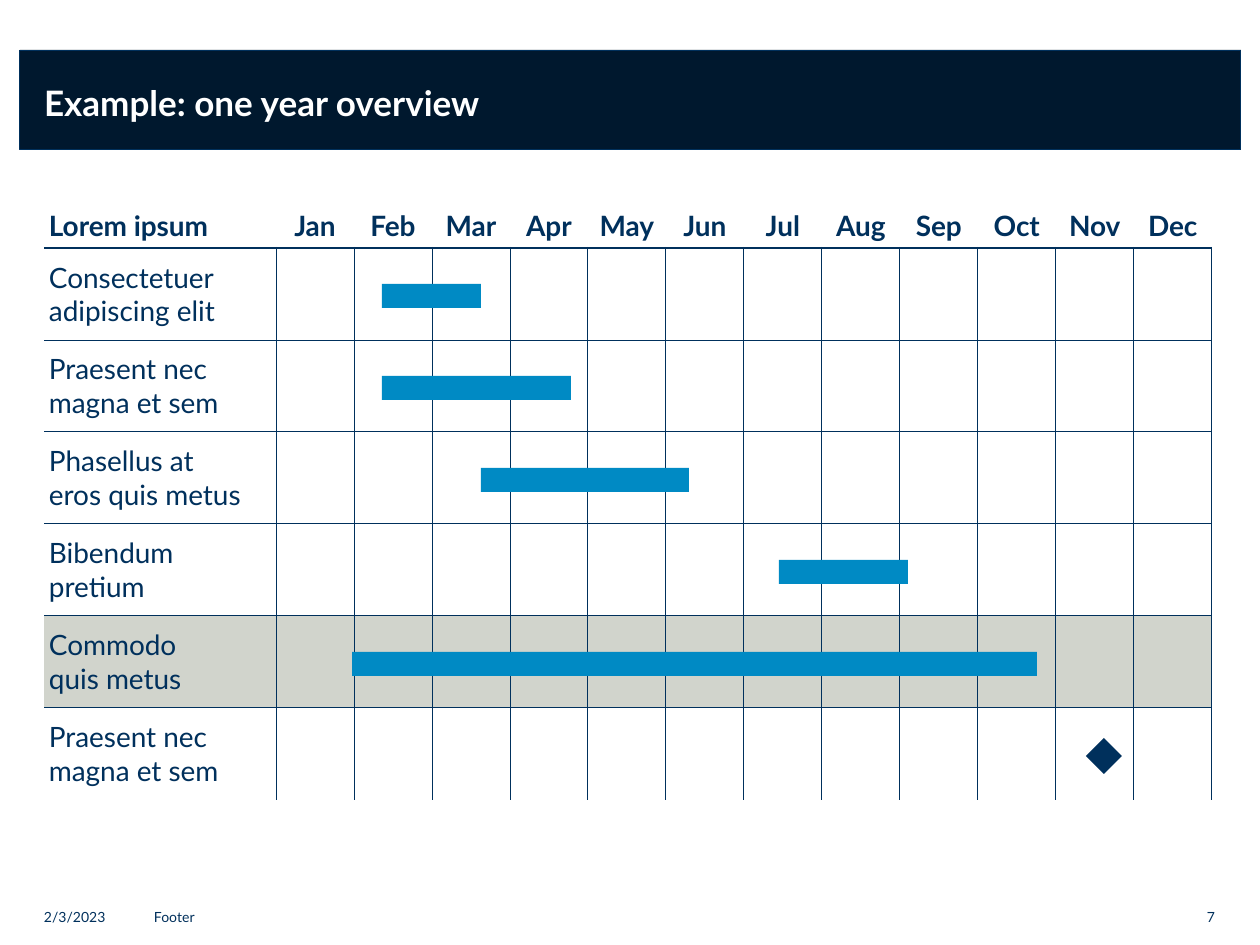
from lxml import etree
from pptx import Presentation, util as u
from pptx.dml.color import RGBColor
from pptx.enum import shapes, text
from pptx.oxml.ns import qn

PX = 914400 / 126
NAVY, BLUE, GREY = "00305C", "008AC4", "D1D4CC"
LEFT, TOP, HEADER_H, ROW_H = 44, 204, 44, 92
NAME_W, MONTH_W = 232, 78


def px(*lengths):
    return [u.Emu(round(length * PX)) for length in lengths]


def style(text_frame, size, color=NAVY, bold=False, align=text.PP_ALIGN.LEFT):
    for paragraph in text_frame.paragraphs:
        paragraph.alignment = align
        for run in paragraph.runs:
            run.font.name = "Lato"
            run.font.size = u.Pt(size)
            run.font.bold = bold
            run.font.color.rgb = RGBColor.from_string(color)


presentation = Presentation()
presentation.slide_width, presentation.slide_height = px(1260, 945)
slide = presentation.slides.add_slide(presentation.slide_layouts[5])

# Title band, placed behind the title
band = slide.shapes.add_shape(shapes.MSO_SHAPE.RECTANGLE, *px(20, 50, 1221, 100))
band.shadow.inherit = False
band.fill.solid()
band.fill.fore_color.rgb = RGBColor.from_string("00182E")
band.line.color.rgb = RGBColor.from_string(NAVY)
band.line.width = u.Pt(0.5)

title = slide.shapes.title
title._element.addprevious(band._element)
title.left, title.top, title.width, title.height = px(20, 50, 888, 100)
frame = title.text_frame
frame.text = "Example: one year overview"
frame.auto_size = text.MSO_AUTO_SIZE.NONE
frame.vertical_anchor = text.MSO_ANCHOR.MIDDLE
frame.margin_left, frame.margin_top, frame.margin_right, frame.margin_bottom = px(24, 0, 24, 0)
frame.paragraphs[0].line_spacing = 1.1
style(frame, 20, "FFFFFF", bold=True)

# Date, footer and slide number
for words, left, width, align in [
    ("2/3/2023", 44, 100, text.PP_ALIGN.LEFT),
    ("Footer", 154, 1001, text.PP_ALIGN.LEFT),
    ("7", 1166, 49, text.PP_ALIGN.RIGHT),
]:
    frame = slide.shapes.add_textbox(*px(left, 889, width, 36)).text_frame
    frame.text = words
    frame.word_wrap = True
    frame.vertical_anchor = text.MSO_ANCHOR.BOTTOM
    frame.margin_left = frame.margin_top = frame.margin_right = frame.margin_bottom = 0
    style(frame, 8, align=align)

# Year table
months = "Jan Feb Mar Apr May Jun Jul Aug Sep Oct Nov Dec".split()
tasks = ["Consectetuer adipiscing elit", "Praesent nec magna et sem",
         "Phasellus at\veros quis metus", "Bibendum\vpretium",
         "Commodo\vquis metus", "Praesent nec magna et sem"]
highlighted_row = 5
last_row, last_column = len(tasks), len(months)

table = slide.shapes.add_table(
    last_row + 1, last_column + 1,
    *px(LEFT, TOP, NAME_W + MONTH_W * last_column, HEADER_H + ROW_H * last_row)).table
table.first_row = table.horz_banding = False
for index, column in enumerate(table.columns):
    column.width = px(MONTH_W if index else NAME_W)[0]
for index, row in enumerate(table.rows):
    row.height = px(ROW_H if index else HEADER_H)[0]

for row in range(last_row + 1):
    for column in range(last_column + 1):
        cell = table.cell(row, column)
        cell.margin_left, cell.margin_top, cell.margin_right, cell.margin_bottom = px(5, 5, 5, 5)

        # Borders in points, 0 for none: thick under the header, thin inside the grid
        borders = {
            "L": 0.5 if row and column else 0,
            "R": 0.5 if row else 0,
            "T": (0, 1.5)[row] if row < 2 else 0.5,
            "B": 1.5 if row == 0 else 0.5 if row < last_row else 0,
        }
        properties = cell._tc.get_or_add_tcPr()
        for side, width in borders.items():
            line = etree.SubElement(properties, qn(f"a:ln{side}"), w=str(u.Pt(width)))
            if width:
                fill = etree.SubElement(line, qn("a:solidFill"))
                etree.SubElement(fill, qn("a:srgbClr"), val=NAVY)
            else:
                etree.SubElement(line, qn("a:noFill"))

        if row == highlighted_row:
            cell.fill.solid()
            cell.fill.fore_color.rgb = RGBColor.from_string(GREY)
        else:
            cell.fill.background()

        if row == 0:
            cell.text = months[column - 1] if column else "Lorem ipsum"
            style(cell.text_frame, 16, bold=True,
                  align=text.PP_ALIGN.CENTER if column else text.PP_ALIGN.LEFT)
        elif column == 0:
            cell.text = tasks[row - 1]
            cell.vertical_anchor = text.MSO_ANCHOR.MIDDLE
            style(cell.text_frame, 16)

# Task bars and the milestone, one to a row: left, width, height
markers = [(382, 99, 24), (382, 189, 24), (481, 208, 24),
           (779, 129, 24), (352, 685, 24), (1086, 36, 36)]
for index, (left, width, height) in enumerate(markers):
    is_milestone = index == len(markers) - 1
    kind = shapes.MSO_SHAPE.DIAMOND if is_milestone else shapes.MSO_SHAPE.RECTANGLE
    middle = TOP + HEADER_H + ROW_H * index + 48
    marker = slide.shapes.add_shape(kind, *px(left, middle - height // 2, width, height))
    marker.shadow.inherit = False
    marker.fill.solid()
    marker.fill.fore_color.rgb = RGBColor.from_string(NAVY if is_milestone else BLUE)
    marker.line.fill.background()

presentation.save("out.pptx")
